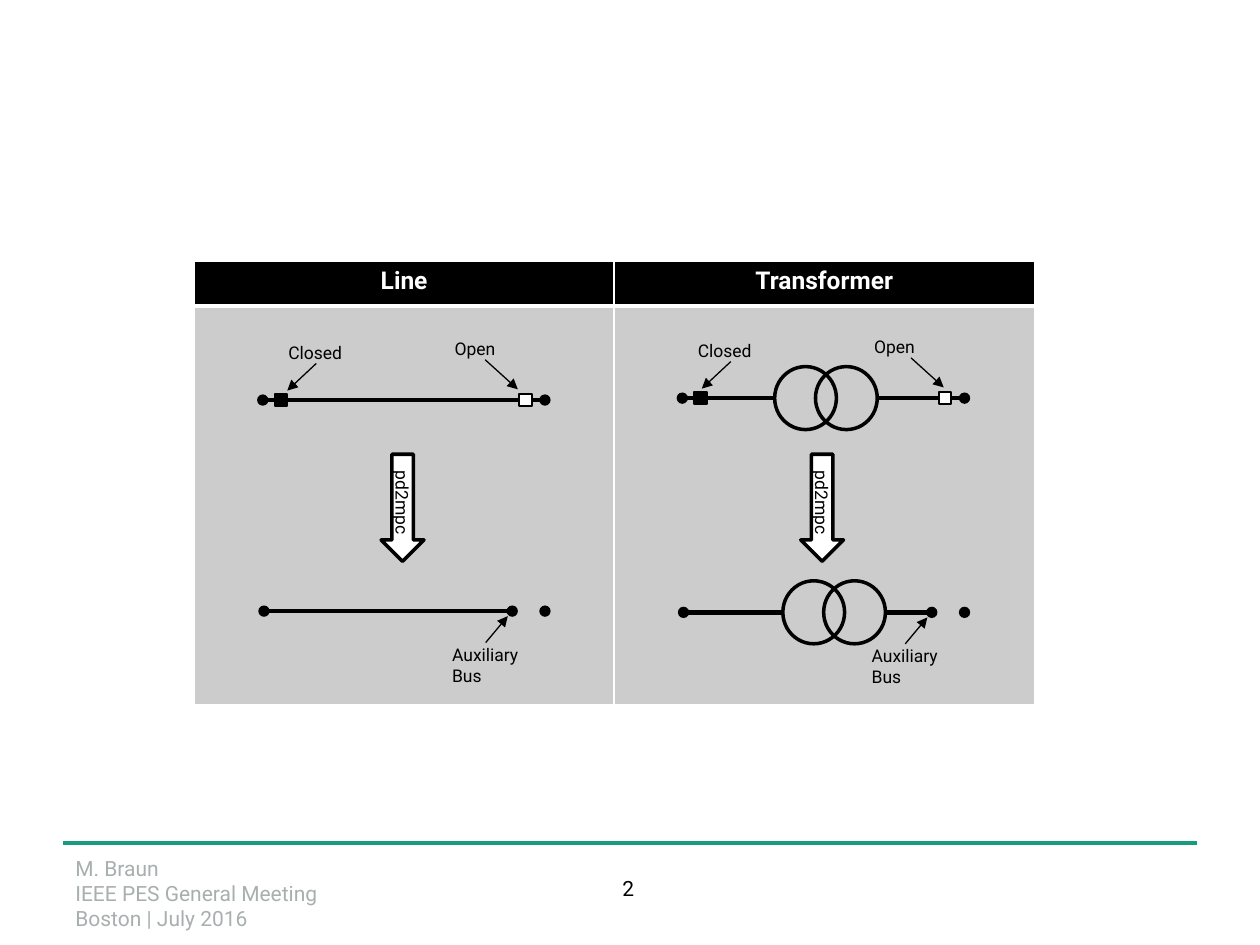
from lxml.etree import SubElement
from pptx import Presentation
from pptx.dml.color import RGBColor
from pptx.enum.shapes import MSO_CONNECTOR, MSO_SHAPE
from pptx.enum.text import MSO_ANCHOR, MSO_AUTO_SIZE, PP_ALIGN
from pptx.oxml.ns import qn
from pptx.util import Inches, Pt

BLACK = RGBColor(0x00, 0x00, 0x00)
WHITE = RGBColor(0xFF, 0xFF, 0xFF)
PANEL_GREY = RGBColor(0xCC, 0xCC, 0xCC)
FOOTER_GREY = RGBColor(0xA8, 0xAF, 0xAF)
TEAL = RGBColor(0x17, 0x9C, 0x7D)


class Diagram:
    """Draws styled elements on a slide grid of 100 columns by 75 rows."""

    font = "Roboto"

    def __init__(self, deck):
        self.slide = deck.slides.add_slide(deck.slide_layouts[6])
        self.column = deck.slide_width / 100
        self.row = deck.slide_height / 75

    def place(self, x, y, width, height):
        return (round(x * self.column), round(y * self.row),
                round(width * self.column), round(height * self.row))

    def style(self, paragraph, size, color=BLACK, align=None, bold=None):
        paragraph.alignment = align
        font = paragraph.font
        font.name, font.size, font.bold = self.font, Pt(size), bold
        font.color.rgb = color

    def text(self, box, paragraphs, size=10, color=BLACK, align=None, fixed=False):
        frame = self.slide.shapes.add_textbox(*self.place(*box)).text_frame
        frame.word_wrap = fixed
        if fixed:
            frame.margin_left = frame.margin_right = 0
            frame.margin_top = frame.margin_bottom = 0
        else:
            frame.auto_size = MSO_AUTO_SIZE.SHAPE_TO_FIT_TEXT
        for index, words in enumerate(paragraphs):
            paragraph = frame.add_paragraph() if index else frame.paragraphs[0]
            paragraph.text = words
            self.style(paragraph, size, color, align)

    def line(self, start, end, width=2.5, color=BLACK, arrow=False):
        line = self.slide.shapes.add_connector(
            MSO_CONNECTOR.STRAIGHT, *self.place(*start, *end))
        line.line.width = Pt(width)
        line.line.color.rgb = color
        if arrow:
            SubElement(line.line._get_or_add_ln(), qn("a:tailEnd"), type="triangle")
        SubElement(line._element.spPr, qn("a:effectLst"))

    def shape(self, kind, center, width, height, fill=None, outline=None):
        x, y = center
        shape = self.slide.shapes.add_shape(
            kind, *self.place(x - width / 2, y - height / 2, width, height))
        shape.shadow.inherit = False
        if fill is None:
            shape.fill.background()
        else:
            shape.fill.solid()
            shape.fill.fore_color.rgb = fill
        if outline is None:
            shape.line.fill.background()
        else:
            shape.line.width = Pt(outline)
            shape.line.color.rgb = BLACK
        return shape

    def bus(self, x, y):
        self.shape(MSO_SHAPE.OVAL, (x, y), 0.9, 0.9, BLACK)

    def switch(self, x, y, fill):
        self.shape(MSO_SHAPE.RECTANGLE, (x, y), 1, 1, fill, 1.25)

    def branch(self, left, start, end, y, coils=None):
        if coils is None:
            self.line((left + start, y), (left + end, y))
            return
        self.line((left + start, y), (left + coils - 4.05, y))
        self.line((left + coils + 4.05, y), (left + end, y))
        for offset in (-1.62, 1.62):
            self.shape(MSO_SHAPE.OVAL, (left + coils + offset, y), 4.9, 5, outline=2)

    def conversion(self, x, y, words):
        frame = self.shape(MSO_SHAPE.DOWN_ARROW, (x, y), 3.4, 8.5, WHITE, 2).text_frame
        frame._txBody.bodyPr.set("vert", "vert")
        frame.vertical_anchor = MSO_ANCHOR.MIDDLE
        frame.text = words
        self.style(frame.paragraphs[0], 10, align=PP_ALIGN.CENTER)

    def table(self, box, headings, row_heights):
        table = self.slide.shapes.add_table(
            len(row_heights), len(headings), *self.place(*box)).table
        for row, height in zip(table.rows, row_heights):
            row.height = round(height * self.row)
        for index, heading in enumerate(headings):
            title, body = table.cell(0, index), table.cell(1, index)
            title.text = heading
            self.style(title.text_frame.paragraphs[0], 14, WHITE, PP_ALIGN.CENTER, True)
            self.cell(title, BLACK, bottom=3)
            self.cell(body, PANEL_GREY, top=3)

    def cell(self, cell, fill, top=1, bottom=1):
        properties = cell._tc.get_or_add_tcPr()
        for side, width in (("L", 1), ("R", 1), ("T", top), ("B", bottom)):
            border = SubElement(properties, qn(f"a:ln{side}"), w=str(Pt(width)))
            SubElement(SubElement(border, qn("a:solidFill")),
                       qn("a:srgbClr"), val=str(WHITE))
        cell.fill.solid()
        cell.fill.fore_color.rgb = fill

    def panel(self, left, feeder, result, closed, closed_tip, open_tip, coils):
        before, after = coils
        self.branch(left, 5.45, 27.85, feeder, before)
        self.branch(left, 5.55, 25.25, result, after)
        for x in (5.45, 27.85):
            self.bus(left + x, feeder)
        for x in (5.55, 25.25, 27.85):
            self.bus(left + x, result)
        self.switch(left + 6.9, feeder, BLACK)
        self.switch(left + 26.3, feeder, WHITE)
        self.conversion(left + 16.55, 40.3, "pd2mpc")

        self.text((left + closed, feeder - 5.1, 6.4, 2.7), ["Closed"])
        self.text((left + 19.7, feeder - 5.45, 5.4, 2.7), ["Open"])
        self.text((left + 19.5, result + 2.1, 7.3, 4.4), ["Auxiliary\vBus"])
        pointers = (
            (closed_tip + 2.3, feeder - 2.9, closed_tip, feeder - 0.75),
            (open_tip - 2.6, feeder - 3.2, open_tip, feeder - 0.85),
            (23.15, result + 2.5, 24.9, result + 0.4),
        )
        for x, y, tip_x, tip_y in pointers:
            self.line((left + x, y), (left + tip_x, tip_y), 0.75, arrow=True)


deck = Presentation()
deck.slide_width, deck.slide_height = Inches(10), Inches(7.5)
diagram = Diagram(deck)
diagram.line((5, 66.9), (95, 66.9), 2.5, TEAL)
diagram.text((5, 67.4, 22.2, 7.1),
             ["M. Braun", "IEEE PES General Meeting", "Boston | July 2016"],
             12, FOOTER_GREY)
diagram.text((46.4, 69.5, 6.9, 1.7), ["2"], 12, align=PP_ALIGN.CENTER, fixed=True)
diagram.table((15.4, 20.7, 66.7, 35.2), ["Line", "Transformer"], [3.6, 31.6])
diagram.panel(15.4, 31.75, 48.5, 6.5, 7.4, 25.7, (None, None))
diagram.panel(48.7, 31.6, 48.6, 5.7, 7, 26.2, (16.85, 17.5))
deck.save("out.pptx")
